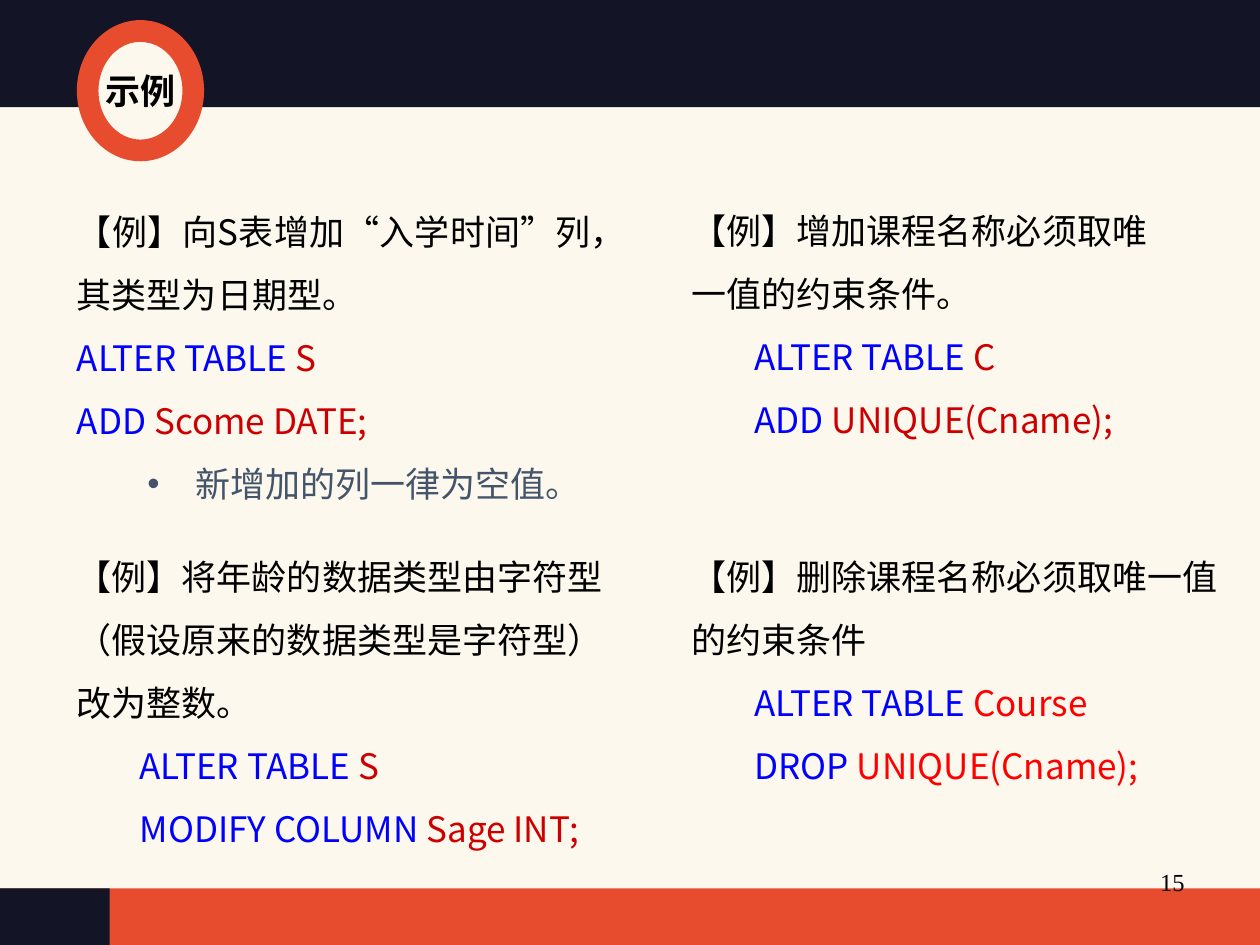
import math
from lxml import etree
from pptx import Presentation
from pptx.dml.color import RGBColor
from pptx.enum.shapes import MSO_SHAPE
from pptx.enum.text import MSO_ANCHOR, MSO_AUTO_SIZE, PP_ALIGN
from pptx.oxml.ns import qn
from pptx.util import Inches, Pt

RECTANGLE, DONUT = MSO_SHAPE.RECTANGLE, MSO_SHAPE.DONUT
TOP, MIDDLE = MSO_ANCHOR.TOP, MSO_ANCHOR.MIDDLE
NO_FIT = MSO_AUTO_SIZE.NONE
LEFT, CENTER, RIGHT, JUSTIFY = (
    PP_ALIGN.LEFT, PP_ALIGN.CENTER, PP_ALIGN.RIGHT, PP_ALIGN.JUSTIFY)

CREAM = RGBColor(0xFC, 0xF8, 0xED)
NAVY = RGBColor(0x13, 0x14, 0x26)
ORANGE = RGBColor(0xE7, 0x4C, 0x2E)
BLACK = RGBColor(0, 0, 0)
BLUE = RGBColor(0, 0, 0xFF)
CRIMSON = RGBColor(0xCC, 0, 0)
RED = RGBColor(0xFF, 0, 0)
SLATE = RGBColor(0x44, 0x54, 0x6A)

SANS, SERIF = "Noto Sans CJK SC", "Times New Roman"


def set_values(target, values):
    for name, value in values.items():
        setattr(target, name, value)


def place(shape, box):
    names = ("left", "top", "width", "height")
    set_values(shape, dict(zip(names, map(Inches, box))))


def paint(shape, color):
    shape.shadow.inherit = False
    shape.fill.solid()
    shape.fill.fore_color.rgb = color
    shape.line.fill.background()


def add_span(para, text, color, size=20, bold=False, name=SANS):
    span = para.add_run()
    span.text = text
    set_values(span.font, {"size": Pt(size), "bold": bold, "name": name})
    span.font.color.rgb = color
    east_asian = etree.SubElement(span.font._element, qn("a:ea"))
    east_asian.set("typeface", name)


def set_bullet(para, indent, hanging=0, bullet=None):
    properties = para._p.get_or_add_pPr()
    properties.set("marL", str(Inches(indent)))
    properties.set("indent", str(-Inches(hanging)))
    if bullet:
        font = etree.SubElement(properties, qn("a:buFont"))
        font.set("typeface", "Arial")
        etree.SubElement(properties, qn("a:buChar")).set("char", bullet)
    else:
        etree.SubElement(properties, qn("a:buNone"))


def fill_example(shape, question, statements, code_color,
                 indent=0.5, align=LEFT, note=None):
    frame = shape.text_frame
    set_values(frame, {"word_wrap": True, "auto_size": NO_FIT,
                       "vertical_anchor": TOP, "margin_top": Inches(0.08)})
    rows = [(0, 0, 0, None, [(question, BLACK)])]
    for keyword, rest in statements:
        spans = [(keyword, BLUE), (rest, code_color)]
        rows.append((1, indent, 0, None, spans))
    if note:
        rows.append((1, 0.94, 0.38, "•", [(note, SLATE)]))
    for index, (level, margin, hanging, bullet, spans) in enumerate(rows):
        para = frame.paragraphs[0] if index == 0 else frame.add_paragraph()
        set_values(para, {"level": level, "alignment": align,
                          "line_spacing": Pt(36), "space_before": Pt(0),
                          "space_after": Pt(0)})
        set_bullet(para, margin, hanging, bullet)
        for text, color in spans:
            add_span(para, text, color)


def add_text_box(page, box):
    return page.shapes.add_textbox(*map(Inches, box))


def add_header(page, box):
    left, top, width, height = box
    center_x, radius_x, radius_y = left + 1.1, 0.46, 0.52
    bottom = top + height
    angles = [math.pi * step / 40 for step in range(41)]
    notch = [(center_x + radius_x * math.cos(angle),
              bottom - radius_y * math.sin(angle)) for angle in angles]
    outline = [(left + width, top), (left + width, bottom),
               *notch, (left, bottom)]
    builder = page.shapes.build_freeform(
        Inches(left), Inches(top), scale=1.0)
    builder.add_line_segments(
        [(Inches(x), Inches(y)) for x, y in outline], close=True)
    paint(builder.convert_to_shape(), NAVY)


def add_badge(page, box, label):
    ring = page.shapes.add_shape(DONUT, *map(Inches, box))
    ring.adjustments[0] = 0.17
    paint(ring, ORANGE)
    set_values(ring.text_frame, {
        "margin_left": 0, "margin_right": 0, "margin_top": 0,
        "margin_bottom": 0, "word_wrap": False, "vertical_anchor": MIDDLE})
    para = ring.text_frame.paragraphs[0]
    para.alignment = CENTER
    add_span(para, label, BLACK, bold=True)


def add_footer(page, box, number):
    left, top, width, height = box
    for band_width, color in ((width, ORANGE), (0.87, NAVY)):
        band = page.shapes.add_shape(
            RECTANGLE, *map(Inches, (left, top, band_width, height)))
        paint(band, color)
    label = add_text_box(page, (left + 7.17, top - 0.22, 2.33, 0.52))
    label.text_frame.word_wrap = True
    para = label.text_frame.paragraphs[0]
    para.alignment = RIGHT
    add_span(para, number, BLACK, size=14, name=SERIF)


def add_examples(page, box):
    left, top, column_gap, row_gap = box
    right, lower = left + column_gap, top + row_gap
    title, body = page.placeholders
    title._element.getparent().remove(title._element)
    place(body, (left, top, 4.56, 2.67))
    fill_example(
        body, "【例】向S表增加“入学时间”列，其类型为日期型。",
        [("ALTER TABLE ", "S "), ("ADD ", "Scome DATE;")],
        CRIMSON, indent=0, align=JUSTIFY, note="新增加的列一律为空值。")
    fill_example(
        add_text_box(page, (right, top, 3.96, 2.46)),
        "【例】增加课程名称必须取唯一值的约束条件。",
        [("ALTER TABLE ", "C"), ("ADD ", "UNIQUE(Cname);")], CRIMSON)
    fill_example(
        add_text_box(page, (left, lower, 4.58, 2.63)),
        "【例】将年龄的数据类型由字符型（假设原来的数据类型是字符型）改为整数。",
        [("ALTER TABLE ", "S"), ("MODIFY COLUMN ", "Sage INT;")], CRIMSON)
    fill_example(
        add_text_box(page, (right, lower, 4.4, 2.46)),
        "【例】删除课程名称必须取唯一值的约束条件",
        [("ALTER TABLE ", "Course"), ("DROP ", "UNIQUE(Cname);")], RED)


def main():
    deck = Presentation()
    deck.slide_width, deck.slide_height = Inches(10), Inches(7.5)
    page = deck.slides.add_slide(deck.slide_layouts[1])
    page.background.fill.solid()
    page.background.fill.fore_color.rgb = CREAM
    add_footer(page, (0, 7.05, 10, 0.45), "15")
    add_header(page, (0, 0, 10, 0.85))
    add_badge(page, (0.61, 0.16, 1.01, 1.12), "示例")
    add_examples(page, (0.51, 1.42, 4.88, 2.74))
    deck.save("out.pptx")


if __name__ == "__main__":
    main()
